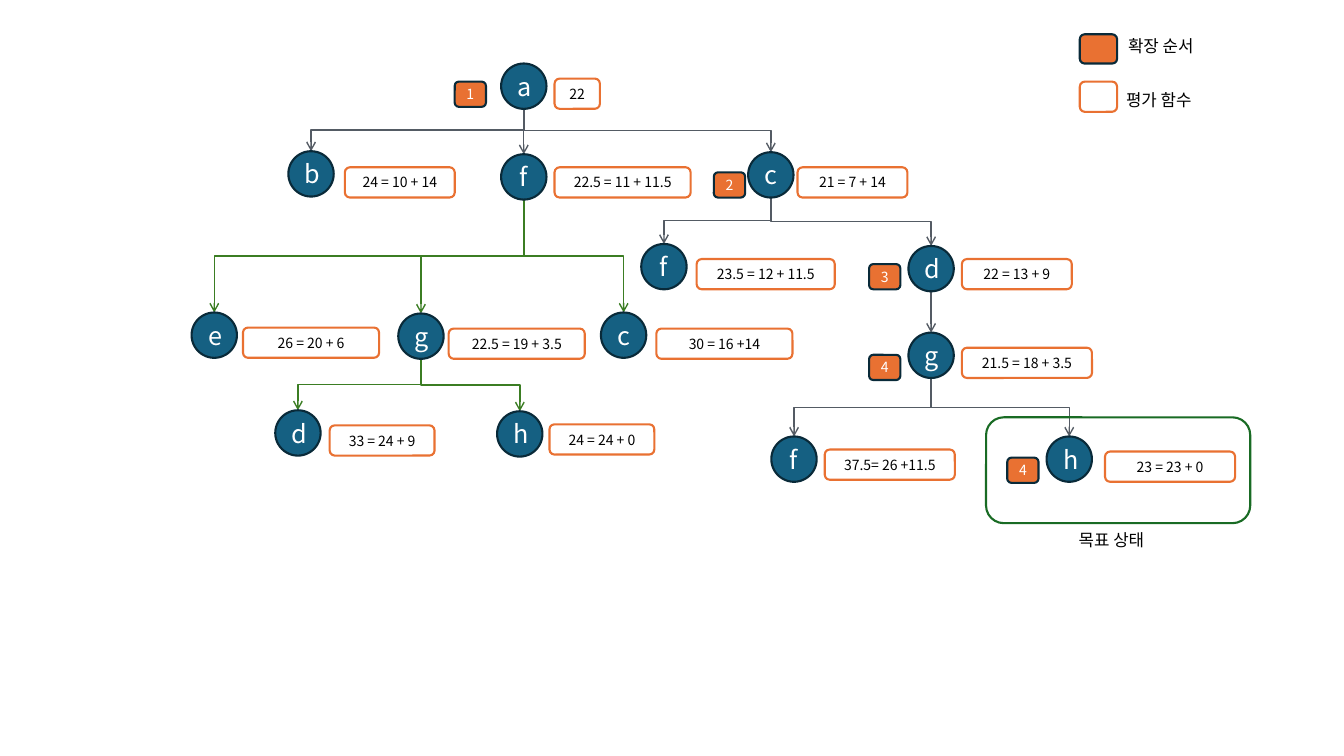
from lxml import etree
from pptx import Presentation
from pptx.dml.color import RGBColor
from pptx.enum.shapes import MSO_CONNECTOR, MSO_SHAPE
from pptx.enum.text import MSO_ANCHOR, MSO_AUTO_SIZE, PP_ALIGN
from pptx.oxml.ns import qn
from pptx.util import Inches, Pt

ELLIPSE, ROUNDED = MSO_SHAPE.OVAL, MSO_SHAPE.ROUNDED_RECTANGLE
STRAIGHT, ELBOW = MSO_CONNECTOR.STRAIGHT, MSO_CONNECTOR.ELBOW
MIDDLE, CENTER = MSO_ANCHOR.MIDDLE, PP_ALIGN.CENTER
FIT_SHAPE = MSO_AUTO_SIZE.SHAPE_TO_FIT_TEXT

FONT = "Noto Sans CJK KR"
BLUE = RGBColor(0x15, 0x60, 0x82)
NAVY = RGBColor(0x09, 0x2A, 0x39)
ORANGE = RGBColor(0xE9, 0x71, 0x32)
GRAY = RGBColor(0x54, 0x5B, 0x64)
GREEN = RGBColor(0x3B, 0x7D, 0x23)
DARK_GREEN = RGBColor(0x19, 0x6B, 0x24)
BLACK = RGBColor(0, 0, 0)
WHITE = RGBColor(0xFF, 0xFF, 0xFF)

# Search tree, keyed by the route from the root; the last letter is the state:
# node (left, top), evaluation text, evaluation box (left, top, width)
NODES = {
    "a": ((4.97, 0.63), "22", (5.5, 0.78, 0.45)),
    "ab": ((2.86, 1.5), "24 = 10 + 14", (3.42, 1.66, 1.09)),
    "af": ((4.97, 1.53), "22.5 = 11 + 11.5", (5.5, 1.66, 1.35)),
    "ac": ((7.42, 1.51), "21 = 7 + 14", (7.91, 1.66, 1.09)),
    "acf": ((6.36, 2.42), "23.5 = 12 + 11.5", (6.91, 2.57, 1.37)),
    "acd": ((9.01, 2.44), "22 = 13 + 9", (9.54, 2.57, 1.09)),
    "acdg": ((9.01, 3.3), "21.5 = 18 + 3.5", (9.54, 3.45, 1.29)),
    "acdgf": ((7.65, 4.33), "37.5= 26 +11.5", (8.18, 4.46, 1.29)),
    "acdgh": ((10.38, 4.33), "23 = 23 + 0", (10.96, 4.48, 1.29)),
    "afe": ((1.9, 3.1), "26 = 20 + 6", (2.41, 3.25, 1.35)),
    "afg": ((3.95, 3.11), "22.5 = 19 + 3.5", (4.45, 3.26, 1.35)),
    "afc": ((5.96, 3.1), "30 = 16 +14", (6.51, 3.26, 1.35)),
    "afgd": ((2.73, 4.07), "33 = 24 + 9", (3.27, 4.22, 1.04)),
    "afgh": ((4.93, 4.08), "24 = 24 + 0", (5.45, 4.21, 1.04)),
}
# Expansion order: label, left, top
ORDERS = [("1", 4.51, 0.81), ("2", 7.08, 1.71), ("3", 8.62, 2.62),
          ("4", 8.62, 3.52), ("4", 9.99, 4.54)]
CAPTIONS = [("확장 순서", 11.09, 0.31), ("평가 함수", 11.07, 0.84),
            ("목표 상태", 10.6, 5.21)]
LEGEND_ORDER = (10.71, 0.34, 0.37, 0.29)
LEGEND_VALUE = (10.71, 0.81, 0.37, 0.3)
GOAL_FRAME = (9.78, 4.14, 2.62, 1.05)
GREEN_BRANCH = "af"
NODE_SIZE = 0.45
VALUE_HEIGHT = 0.3
ORDER_SIZE = (0.31, 0.25)
CAPTION_SIZE = (0.93, 0.3)

presentation = Presentation()
presentation.slide_width = Inches(13.33)
presentation.slide_height = Inches(7.5)
slide = presentation.slides.add_slide(presentation.slide_layouts[6])


def write(text_frame, text, size, color):
    text_frame.text = text
    paragraph = text_frame.paragraphs[0]
    font = paragraph.runs[0].font
    font.name, font.size, font.color.rgb = FONT, Pt(size), color
    east_asian = etree.SubElement(font._element, qn("a:ea"))
    east_asian.set("typeface", FONT)
    return paragraph


def add_box(kind, box, fill, line, text="", size=10, color=WHITE):
    shape = slide.shapes.add_shape(kind, *map(Inches, box))
    shape.shadow.inherit = False
    if fill is None:
        shape.fill.background()
    else:
        shape.fill.solid()
        shape.fill.fore_color.rgb = fill
    shape.line.color.rgb = line
    shape.line.width = Pt(1.5)
    if text:
        shape.text_frame.vertical_anchor = MIDDLE
        write(shape.text_frame, text, size, color).alignment = CENTER


def add_branch(parent, child, color):
    """Arrow down from a parent node, turning halfway to reach the child."""
    (parent_left, parent_top), (child_left, child_top) = parent, child
    start_x, end_x = parent_left + NODE_SIZE / 2, child_left + NODE_SIZE / 2
    start_y, end_y = parent_top + NODE_SIZE, child_top
    if start_x == end_x:
        corners = (start_x, start_y, end_x, end_y)
        connector = slide.shapes.add_connector(STRAIGHT, *map(Inches, corners))
    else:
        # An elbow leaves sideways, so it is laid flat and turned a quarter
        middle_x, middle_y = (start_x + end_x) / 2, (start_y + end_y) / 2
        half_drop, half_run = (end_y - start_y) / 2, abs(end_x - start_x) / 2
        corners = (middle_x - half_drop, middle_y - half_run,
                   middle_x + half_drop, middle_y + half_run)
        connector = slide.shapes.add_connector(ELBOW, *map(Inches, corners))
        transform = connector._element.spPr.find(qn("a:xfrm"))
        if end_x < start_x:
            transform.set("rot", str(90 * 60000))
        else:
            transform.set("rot", str(270 * 60000))
            transform.set("flipH", "1")
    connector.line.color.rgb = color
    connector.line.width = Pt(1)
    arrow = etree.SubElement(connector.line._get_or_add_ln(), qn("a:tailEnd"))
    arrow.set("type", "arrow")
    etree.SubElement(connector._element.spPr, qn("a:effectLst"))


# Branches
for route, (position, _, _) in NODES.items():
    parent_route = route[:-1]
    if parent_route:
        branch_color = GREEN if parent_route.startswith(GREEN_BRANCH) else GRAY
        add_branch(NODES[parent_route][0], position, branch_color)

# Nodes with their evaluation
for route, (position, value, (left, top, width)) in NODES.items():
    add_box(ELLIPSE, (*position, NODE_SIZE, NODE_SIZE), BLUE, NAVY, route[-1], 18)
    add_box(ROUNDED, (left, top, width, VALUE_HEIGHT), None, ORANGE, value, color=BLACK)

# Expansion order
for label, left, top in ORDERS:
    add_box(ROUNDED, (left, top, *ORDER_SIZE), ORANGE, NAVY, label)

# Legend and goal frame
add_box(ROUNDED, LEGEND_ORDER, ORANGE, NAVY)
add_box(ROUNDED, LEGEND_VALUE, None, ORANGE)
add_box(ROUNDED, GOAL_FRAME, None, DARK_GREEN)
for caption, left, top in CAPTIONS:
    text_box = slide.shapes.add_textbox(*map(Inches, (left, top, *CAPTION_SIZE)))
    text_box.text_frame.word_wrap = False
    text_box.text_frame.auto_size = FIT_SHAPE
    write(text_box.text_frame, caption, 12, BLACK)

presentation.save("out.pptx")
